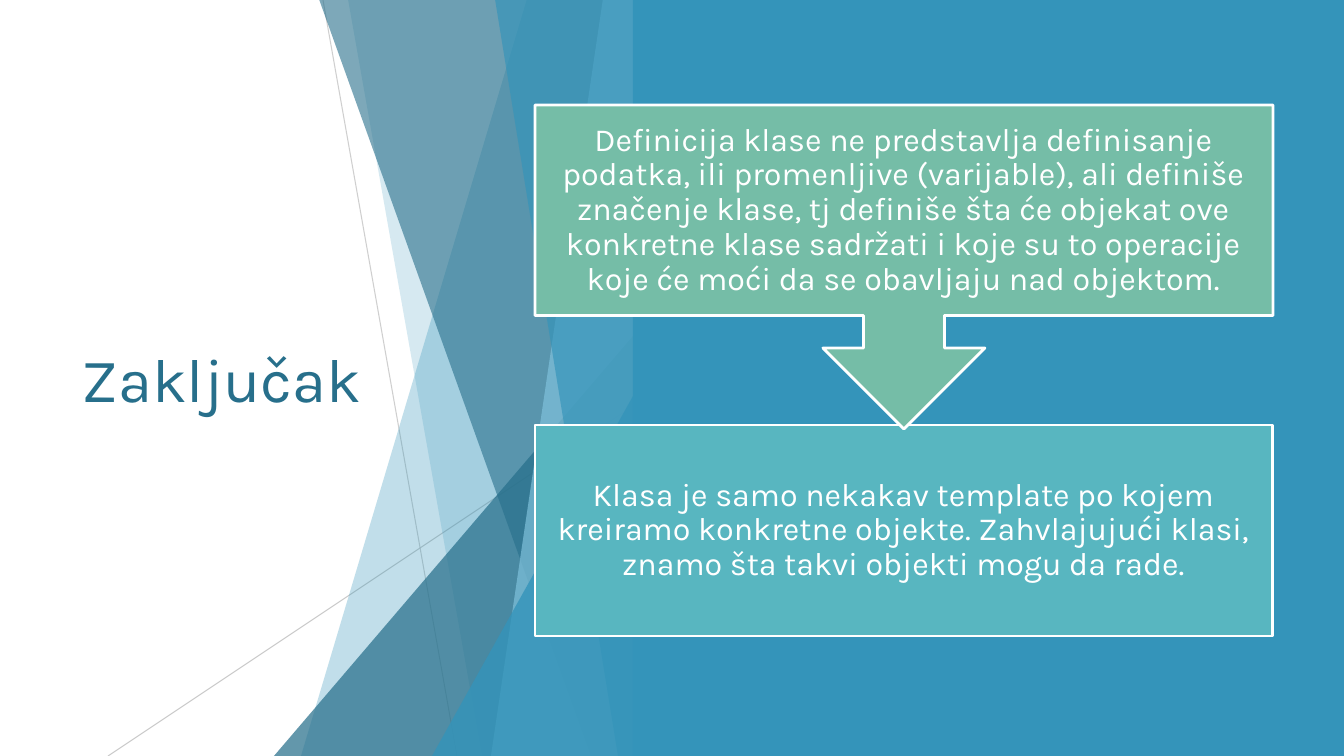
from dataclasses import dataclass
from lxml.etree import SubElement
from pptx import Presentation
from pptx.dml.color import RGBColor
from pptx.enum.shapes import MSO_CONNECTOR, MSO_SHAPE as Preset
from pptx.enum.text import MSO_ANCHOR as Anchor, PP_ALIGN as Align
from pptx.oxml.ns import qn
from pptx.util import Emu, Pt

SLIDE_W, SLIDE_H = 1344, 756
EMU_PER_PX = 12192000 / SLIDE_W
PANEL_LEFT = 633


@dataclass(frozen=True)
class Theme:
    font: str = "Karla"
    white: str = "FFFFFF"
    blue: str = "3494BA"
    deep_blue: str = "276F8B"
    pale_blue: str = "7FC1DB"
    teal: str = "58B6C0"
    green: str = "75BDA7"
    hairline: str = "BFBFBF"
    title_size: int = 44
    body_size: int = 23
    hairline_width: float = 0.75
    border_width: int = 2


THEME = Theme()

DEFINITION = (
    "Definicija klase ne predstavlja definisanje podatka, ili promenljive "
    "(varijable), ali definiše značenje klase, tj definiše šta će objekat ove "
    "konkretne klase sadržati i koje su to operacije koje će moći da se "
    "obavljaju nad objektom."
)
TEMPLATE_ROLE = (
    "Klasa je samo nekakav template po kojem kreiramo konkretne objekte. "
    "Zahvlajujući klasi, znamo šta takvi objekti mogu da rade."
)


def px(length):
    return Emu(round(length * EMU_PER_PX))


def set_opacity(item, percent):
    for color in item.element.spPr.iter(qn("a:srgbClr")):
        SubElement(color, qn("a:alpha")).set("val", str(percent * 1000))


def paint(shape, color, opacity=100):
    shape.shadow.inherit = False
    shape.fill.solid()
    shape.fill.fore_color.rgb = RGBColor.from_string(color)
    shape.line.fill.background()
    if opacity < 100:
        set_opacity(shape, opacity)


def add_hairline(slide, start, end, opacity):
    hairline = slide.shapes.add_connector(
        MSO_CONNECTOR.STRAIGHT, *map(px, (*start, *end)))
    hairline.line.color.rgb = RGBColor.from_string(THEME.hairline)
    hairline.line.width = Pt(THEME.hairline_width)
    set_opacity(hairline, opacity)
    SubElement(hairline.element.spPr, qn("a:effectLst"))


def add_facet(slide, top_x, bottom_x, color, opacity):
    outline = slide.shapes.build_freeform(px(top_x), px(-1))
    corners = [(PANEL_LEFT, -1), (PANEL_LEFT, SLIDE_H), (bottom_x, SLIDE_H)]
    outline.add_line_segments([(px(x), px(y)) for x, y in corners])
    paint(outline.convert_to_shape(), color, opacity)


def add_corner(slide, left, top, color, opacity):
    corner = slide.shapes.add_shape(
        Preset.ISOSCELES_TRIANGLE,
        *map(px, (left, top, PANEL_LEFT - left, SLIDE_H - top)))
    corner.adjustments[0] = 1
    paint(corner, color, opacity)


def write(frame, text, size, color, align):
    frame.word_wrap = True
    frame.vertical_anchor = Anchor.MIDDLE
    paragraph = frame.paragraphs[0]
    paragraph.text = text
    paragraph.alignment = align
    paragraph.font.name = THEME.font
    paragraph.font.size = Pt(size)
    paragraph.font.color.rgb = RGBColor.from_string(color)
    return paragraph


def add_title(slide, text):
    title = slide.shapes.add_textbox(*map(px, (72, 152, 391, 452)))
    write(title.text_frame, text, THEME.title_size, THEME.deep_blue, Align.LEFT)


def add_panel(slide):
    panel = slide.shapes.add_shape(
        Preset.RECTANGLE, *map(px, (PANEL_LEFT, 0, SLIDE_W - PANEL_LEFT, SLIDE_H)))
    paint(panel, THEME.blue)


def add_step(slide, preset, top, height, color, text):
    step = slide.shapes.add_shape(preset, *map(px, (535, top, 738, height)))
    paint(step, color)
    step.line.color.rgb = RGBColor.from_string(THEME.white)
    step.line.width = Pt(THEME.border_width)
    frame = step.text_frame
    frame.margin_left = frame.margin_right = px(18)
    frame.margin_top = frame.margin_bottom = px(18)
    paragraph = write(frame, text, THEME.body_size, THEME.white, Align.CENTER)
    paragraph.line_spacing = 0.9


def add_facets(slide):
    add_hairline(slide, (323, 0), (457, SLIDE_H), 75)
    add_hairline(slide, (PANEL_LEFT, 406), (108, SLIDE_H), 80)
    add_facet(slide, 527, 301, THEME.blue, 30)
    add_facet(slide, 348, 482, THEME.blue, 20)
    add_corner(slide, 274, 336, THEME.deep_blue, 72)
    add_facet(slide, 319, 591, THEME.deep_blue, 60)
    add_facet(slide, 603, 491, THEME.pale_blue, 70)
    add_facet(slide, 495, 618, THEME.blue, 65)
    add_corner(slide, 432, 396, THEME.blue, 80)


def main():
    deck = Presentation()
    deck.slide_width, deck.slide_height = px(SLIDE_W), px(SLIDE_H)
    slide = deck.slides.add_slide(deck.slide_layouts[6])
    add_facets(slide)
    add_title(slide, "Zaključak")
    add_panel(slide)
    add_step(slide, Preset.RECTANGLE, 425, 211, THEME.teal, TEMPLATE_ROLE)
    add_step(slide, Preset.DOWN_ARROW_CALLOUT, 105, 324, THEME.green, DEFINITION)
    deck.save("out.pptx")


if __name__ == "__main__":
    main()
